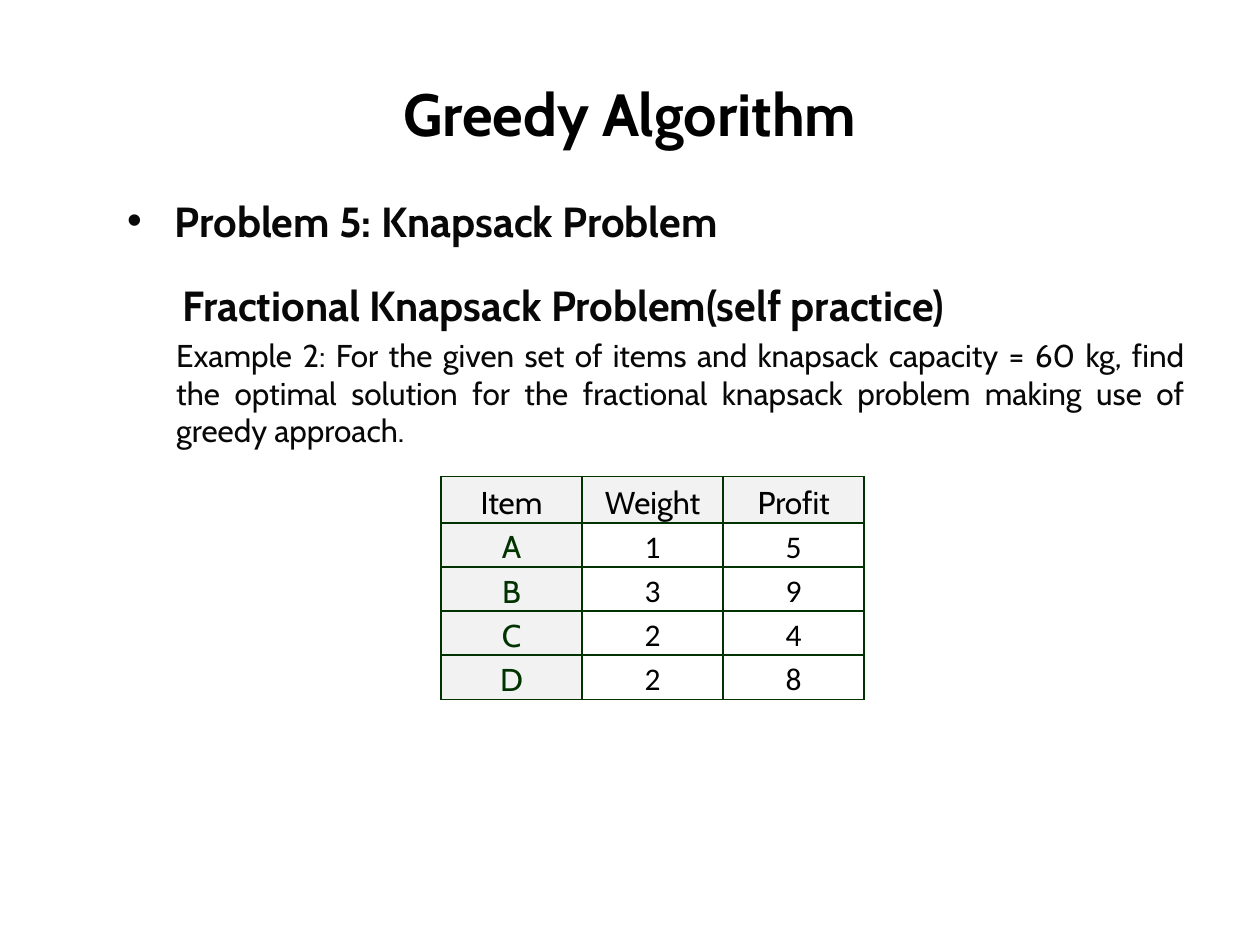
import pptx
import pptx.dml.color
import pptx.enum.text
import pptx.oxml
import pptx.oxml.ns
import pptx.util
from pptx.util import Inches, Pt

ALIGN = pptx.enum.text.PP_ALIGN
ANCHOR = pptx.enum.text.MSO_ANCHOR
BLACK, INK, GREEN, GREY = "000000", "080808", "003300", "F2F2F2"

ITEMS = [
    ("Item", "Weight", "Profit"),
    ("A", "1", "5"),
    ("B", "3", "9"),
    ("C", "2", "4"),
    ("D", "2", "8"),
]


def color(value):
    return pptx.dml.color.RGBColor.from_string(value)


def apply(target, values):
    """Set every attribute named in values on target."""
    for name, value in values.items():
        setattr(target, name, value)


def add_xml(parent, markup):
    """Append a DrawingML element to parent."""
    namespace = pptx.oxml.ns.nsdecls("a")
    parent.append(pptx.oxml.parse_xml(markup.replace("{ns}", namespace)))


class SlideBuilder:
    font = "Cabin"
    border_width = Pt(1)

    def __init__(self, slide):
        self.slide = slide

    def text_box(self, left, top, width, height, anchor=ANCHOR.TOP):
        box = self.slide.shapes.add_textbox(
            Inches(left), Inches(top), Inches(width), Inches(height))
        apply(box.text_frame, {"word_wrap": True, "vertical_anchor": anchor})
        return box.text_frame

    def add_text(self, para, text, size, ink, bold=False, font=None, **layout):
        apply(para, layout)
        span = para.add_run()
        span.text = text
        apply(span.font, {"name": font or self.font, "size": Pt(size), "bold": bold})
        span.font.color.rgb = color(ink)

    def indent(self, para, left, bullet=None):
        """Indent para; a bullet hangs at the left edge of the box."""
        properties = para._p.get_or_add_pPr()
        properties.set("marL", str(Inches(left)))
        properties.set("indent", str(-Inches(left) if bullet else 0))
        if bullet:
            add_xml(properties, '<a:buFont {ns} typeface="Arial"/>')
            add_xml(properties, f'<a:buChar {{ns}} char="{bullet}"/>')

    def border(self, cell):
        properties = cell._tc.get_or_add_tcPr()
        for side in ("lnL", "lnR", "lnT", "lnB"):
            add_xml(properties,
                    f'<a:{side} {{ns}} w="{self.border_width}"><a:solidFill>'
                    f'<a:srgbClr val="{GREEN}"/></a:solidFill></a:{side}>')

    def table(self, left, top, column_width, row_heights, rows):
        frame = self.slide.shapes.add_table(
            len(rows), len(rows[0]), Inches(left), Inches(top),
            Inches(column_width * len(rows[0])), Inches(sum(row_heights)))
        table = frame.table
        apply(table, {"first_row": False, "horz_banding": False})
        for column in table.columns:
            column.width = Inches(column_width)
        for row, height in zip(table.rows, row_heights):
            row.height = Inches(height)
        for r, row in enumerate(rows):
            for c, text in enumerate(row):
                self.cell(table.cell(r, c), text, r == 0, c == 0)

    def cell(self, cell, text, in_header, in_item_column):
        margin = Inches(0.01)
        apply(cell, {"margin_left": margin, "margin_right": margin,
                     "margin_top": margin, "margin_bottom": 0,
                     "vertical_anchor": ANCHOR.BOTTOM})
        is_label = in_header or in_item_column
        self.border(cell)
        if is_label:
            cell.fill.solid()
            cell.fill.fore_color.rgb = color(GREY)
        else:
            cell.fill.background()
        self.add_text(cell.text_frame.paragraphs[0], text, 18,
                      GREEN if in_item_column and not in_header else BLACK,
                      font=self.font if is_label else "Calibri",
                      alignment=ALIGN.CENTER)


def main():
    deck = pptx.Presentation()
    apply(deck, {"slide_width": Inches(10), "slide_height": Inches(7.5)})
    builder = SlideBuilder(deck.slides.add_slide(deck.slide_layouts[6]))

    title = builder.text_box(0.5, 0.5, 9, 0.79, ANCHOR.MIDDLE)
    builder.add_text(title.paragraphs[0], "Greedy Algorithm", 34, BLACK, bold=True,
                     alignment=ALIGN.CENTER)

    body = builder.text_box(0.91, 1.5, 8.59, 5.24)
    problem, heading, example = (
        body.paragraphs[0], body.add_paragraph(), body.add_paragraph())
    builder.add_text(problem, "Problem 5: Knapsack Problem", 24, INK, bold=True,
                     alignment=ALIGN.JUSTIFY, space_before=Pt(4.8))
    builder.indent(problem, 0.38, "•")
    builder.add_text(heading, "Fractional Knapsack Problem(self practice)", 24, INK,
                     bold=True, alignment=ALIGN.JUSTIFY, level=1,
                     line_spacing=1.5, space_before=Pt(4.8))
    builder.indent(heading, 0.44)
    builder.add_text(example,
                     "Example 2: For the given set of items and knapsack capacity = 60 kg, "
                     "find the optimal solution for the fractional knapsack problem "
                     "making use of greedy approach.",
                     18, INK, alignment=ALIGN.JUSTIFY, space_before=Pt(3.6))
    builder.indent(example, 0.39)

    builder.table(3.5, 3.78, 1.12, [0.37] + [0.35] * 4, ITEMS)
    deck.save("out.pptx")


if __name__ == "__main__":
    main()
